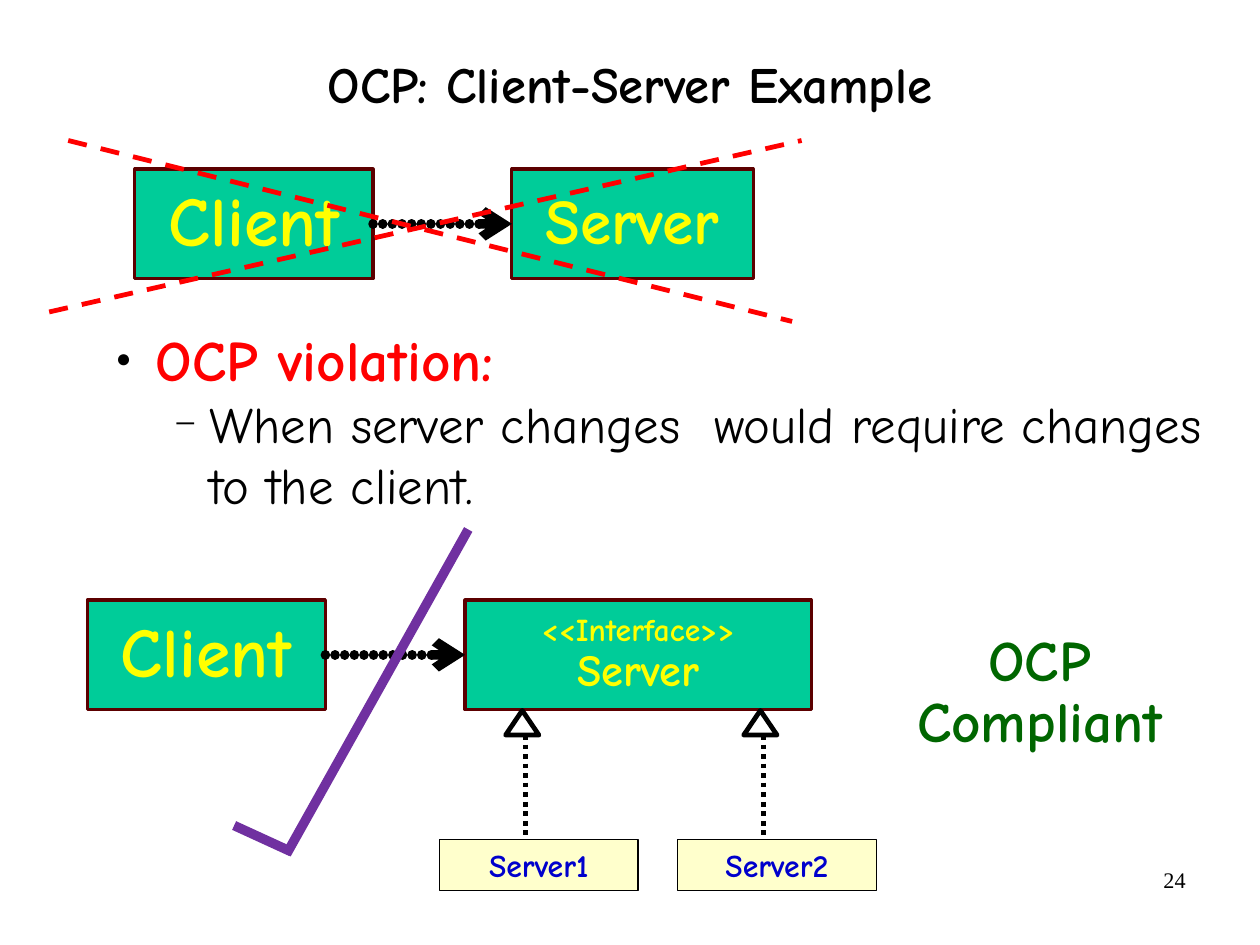
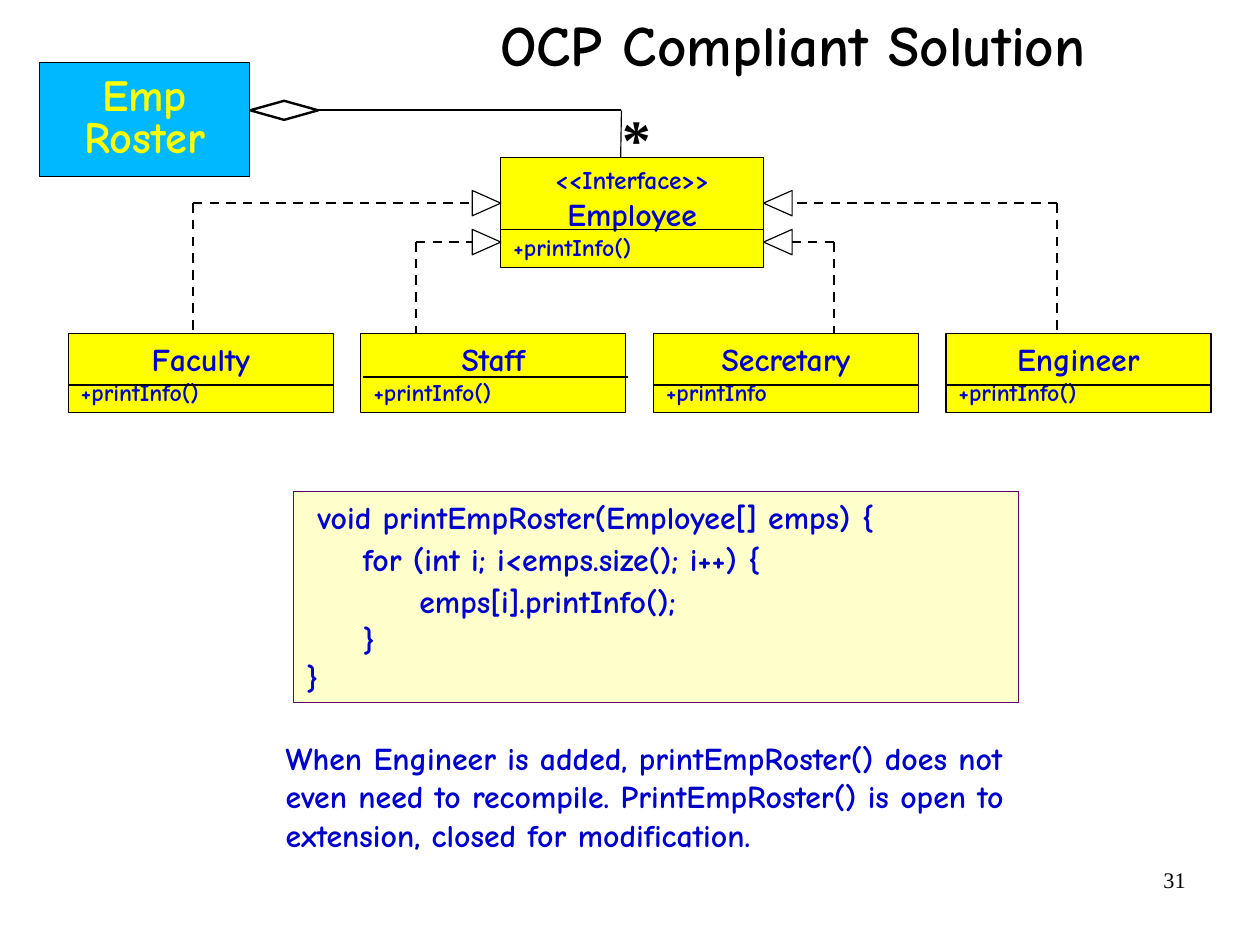
from dataclasses import dataclass

from lxml.etree import SubElement
from pptx import Presentation
from pptx.dml.color import RGBColor
from pptx.enum.dml import MSO_LINE
from pptx.enum.shapes import MSO_CONNECTOR, MSO_SHAPE
from pptx.enum.text import MSO_ANCHOR, PP_ALIGN
from pptx.oxml.ns import qn
from pptx.util import Pt


@dataclass(frozen=True)
class Theme:
    font: str = "Comic Neue"
    plain_font: str = "Times New Roman"
    black: str = "000000"
    red: str = "FF0000"
    green: str = "00CC99"
    maroon: str = "5C0000"
    yellow: str = "FFFF00"
    cream: str = "FFFFCC"
    blue: str = "0000CC"
    sky: str = "00B8FF"
    dark_green: str = "006600"
    purple: str = "660066"
    tick: str = "7030A0"
    huge: float = 44
    server: float = 40
    large: float = 36
    heading: float = 32
    name: float = 28
    normal: float = 20
    small: float = 16
    method: float = 15
    number: float = 14


THEME = Theme()
SLIDE_SIZE = (793.75, 595.25)
INSET = (8, 4)
RIGHT, LEFT = 3, 1

# Client and server slide
VIOLATION = "OCP violation:"
CONSEQUENCE = "When server changes  would require changes to the client."
PAIRS = [  # client box, server box, server lines with their sizes
    ((85, 106.5, 150, 69), (322.5, 106.5, 152, 69), [("Server", THEME.server)]),
    ((55, 378, 150, 69), (293, 378, 218, 69),
     [("<<Interface>>", THEME.normal), ("Server", THEME.name)]),
]
SERVERS = ["Server1", "Server2"]
CROSS = [((31, 196.5), (505, 88.5)), ((43, 88.5), (499, 202.5))]
TICK = [((147.5, 520), (183.5, 536.5)), ((180.5, 538), (295, 333.5))]

# Employee slide
INTERFACE_BOX = (315.5, 99.5, 165.5, 69)
INTERFACE_LINES = [("<<Interface>>", THEME.small), ("Employee", THEME.normal)]
OUTER, INNER = 128, 152.5
CLASSES = [  # name, method, divider shift right, divider top, link x, link y
    ("Faculty", "+printInfo()", 0, 242.5, 121.5, OUTER),
    ("Staff", "+printInfo()", 1.5, 237.5, 262, INNER),
    ("Secretary", "+printInfo", 0, 242.5, 525.5, INNER),
    ("Engineer", "+printInfo()", 0, 242.5, 666, OUTER),
]
CODE = [
    (" void printEmpRoster(Employee[] emps) {", 0),
    ("     for (int i; i<emps.size(); i++) {", 2.5),
    ("          emps[i].printInfo();", 2.5),
    ("     }", 0),
    ("}", 0),
]
NOTE = ("When Engineer is added, printEmpRoster() does not even need to recompile. "
        "PrintEmpRoster() is open to extension, closed for modification.")


def rgb(value):
    return RGBColor.from_string(value)


def write(shape, text, *, size=THEME.normal, colour=THEME.blue, font=THEME.font,
          bold=True, align=PP_ALIGN.LEFT, spacing=None, before=0, bullet=None):
    """Append one paragraph; bullet is (mark, percent, margin, hanging)."""
    frame = shape.text_frame
    para = frame.paragraphs[0]
    if para.runs:
        para = frame.add_paragraph()
    para.alignment = align
    if spacing:
        para.line_spacing = spacing
    if before:
        para.space_before = Pt(before)
    if bullet:
        mark, percent, margin, hanging = bullet
        props = para._p.get_or_add_pPr()
        props.set("marL", str(Pt(margin)))
        props.set("indent", str(-Pt(hanging)))
        tint = SubElement(props, qn("a:buClr"))
        SubElement(tint, qn("a:srgbClr"), val=THEME.black)
        SubElement(props, qn("a:buSzPct"), val=str(percent * 1000))
        SubElement(props, qn("a:buFont"), typeface=THEME.plain_font)
        SubElement(props, qn("a:buChar"), char=mark)
    span = para.add_run()
    span.text = text
    span.font.name = font
    span.font.size = Pt(size)
    span.font.bold = bold
    span.font.color.rgb = rgb(colour)


def set_frame(shape, inset, anchor, wrap=True):
    frame = shape.text_frame
    frame.word_wrap = wrap
    frame.vertical_anchor = anchor
    frame.margin_left = frame.margin_right = Pt(inset[0])
    frame.margin_top = frame.margin_bottom = Pt(inset[1])


def add_text(page, place, inset=(0, 0), anchor=MSO_ANCHOR.TOP):
    box = page.shapes.add_textbox(*map(Pt, place))
    set_frame(box, inset, anchor)
    return box


def style_shape(shape, fill, line, width):
    shape.shadow.inherit = False
    if fill:
        shape.fill.solid()
        shape.fill.fore_color.rgb = rgb(fill)
    else:
        shape.fill.background()
    shape.line.color.rgb = rgb(line)
    shape.line.width = Pt(width)


def add_box(page, place, fill, line=THEME.black, width=0.75,
            anchor=MSO_ANCHOR.TOP, wrap=True, kind=MSO_SHAPE.RECTANGLE):
    box = page.shapes.add_shape(kind, *map(Pt, place))
    style_shape(box, fill, line, width)
    set_frame(box, INSET, anchor, wrap)
    return box


def add_line(page, start, end, colour=THEME.black, width=0.75, dash=None):
    line = page.shapes.add_connector(MSO_CONNECTOR.STRAIGHT, *map(Pt, (*start, *end)))
    line.line.color.rgb = rgb(colour)
    line.line.width = Pt(width)
    if dash:
        line.line.dash_style = dash
    SubElement(line._element.spPr, qn("a:effectLst"))
    return line


def add_triangle(page, points, width):
    builder = page.shapes.build_freeform(*map(Pt, points[0]), scale=1.0)
    builder.add_line_segments([tuple(map(Pt, point)) for point in points[1:]], close=True)
    style_shape(builder.convert_to_shape(), None, THEME.black, width)


def add_dotted_arrow(page, client, server):
    arrow = add_line(page, (0, 0), (1, 1), width=6)
    arrow.begin_connect(client, RIGHT)
    arrow.end_connect(server, LEFT)
    outline = arrow.line._get_or_add_ln()
    outline.set("cap", "rnd")
    dots = SubElement(outline, qn("a:custDash"))
    SubElement(dots, qn("a:ds"), d="1000", sp="100000")
    SubElement(outline, qn("a:round"))
    SubElement(outline, qn("a:tailEnd"), type="arrow")


def add_page(deck, title, title_place, title_size, number):
    page = deck.slides.add_slide(deck.slide_layouts[6])
    box = add_text(page, title_place, anchor=MSO_ANCHOR.MIDDLE)
    write(box, title, size=title_size, colour=THEME.black,
          align=PP_ALIGN.CENTER, spacing=0.88)
    box = add_text(page, (569, 542, 185, 41), inset=(7, 3.5))
    write(box, number, size=THEME.number, colour=THEME.black,
          font=THEME.plain_font, bold=False, align=PP_ALIGN.RIGHT)
    return page


def build_client_server(deck):
    page = add_page(deck, "OCP: Client-Server Example", (58.5, 23.5, 677, 63),
                    THEME.heading, "24")
    body = add_text(page, (65, 204.5, 723.5, 130))
    write(body, VIOLATION, size=THEME.large, colour=THEME.red, bullet=("●", 45, 33, 25))
    write(body, CONSEQUENCE, size=THEME.heading, colour=THEME.black, bold=False,
          bullet=("−", 75, 67, 22))

    for client_place, server_place, server_lines in PAIRS:
        client, server = (
            add_box(page, place, THEME.green, THEME.maroon, 2, MSO_ANCHOR.MIDDLE)
            for place in (client_place, server_place))
        labels = [(client, "Client", THEME.huge)]
        labels += [(server, text, size) for text, size in server_lines]
        for box, text, size in labels:
            write(box, text, size=size, colour=THEME.yellow,
                  align=PP_ALIGN.CENTER, spacing=0.9)
        add_dotted_arrow(page, client, server)

    interface_bottom, base, server_top = 447.5, 463, 529
    for index, name in enumerate(SERVERS):
        left = 277 + 150 * index
        box = add_box(page, (left, server_top, 125, 32), THEME.cream)
        write(box, name, align=PP_ALIGN.CENTER)
        apex = left + 52
        add_triangle(page, [(apex, interface_bottom), (apex + 10.5, base),
                            (apex - 10.5, base)], 3)
        add_line(page, (left + 54, base), (left + 54, server_top), width=3,
                 dash=MSO_LINE.ROUND_DOT)

    verdict = add_text(page, (547, 405.5, 216, 63), anchor=MSO_ANCHOR.MIDDLE)
    for word in ("OCP", "Compliant"):
        write(verdict, word, size=THEME.large, colour=THEME.dark_green,
              align=PP_ALIGN.CENTER, spacing=0.88)
    for start, end in CROSS:
        add_line(page, start, end, THEME.red, 3, MSO_LINE.DASH)
    for start, end in TICK:
        add_line(page, start, end, THEME.tick, 6)


def add_class(page, place, headings, method, divider_top, shift=0):
    box = add_box(page, place, THEME.yellow)
    for text, size in headings:
        write(box, text, size=size, align=PP_ALIGN.CENTER)
    write(box, method, size=THEME.method)
    left = place[0] + shift
    add_line(page, (left, divider_top), (left + place[2], divider_top))


def build_solution(deck):
    page = add_page(deck, "OCP Compliant Solution", (229.5, 0, 540, 61),
                    THEME.large, "31")
    code = add_box(page, (185, 309.5, 456.5, 133), THEME.cream, THEME.purple)
    for text, before in CODE:
        write(code, text, before=before)

    add_class(page, INTERFACE_BOX, INTERFACE_LINES, "+printInfo()", 144.5)
    interface_left, _, interface_width, _ = INTERFACE_BOX
    class_top = 210
    for index, (name, method, shift, divider, link_x, link_y) in enumerate(CLASSES):
        place = (43 + 184.3 * index, class_top, 167, 50)
        add_class(page, place, [(name, THEME.normal)], method, divider, shift)
        if link_x < interface_left:
            apex, base = interface_left, interface_left - 18
        else:
            apex = interface_left + interface_width
            base = apex + 18
        add_triangle(page, [(apex, link_y), (base, link_y - 8), (base, link_y + 8)], 0.75)
        corner = (link_x, link_y)
        for end in ((base, link_y), (link_x, class_top)):
            add_line(page, corner, end, width=1.5, dash=MSO_LINE.DASH)

    note = add_text(page, (172, 461.5, 496, 80), inset=INSET)
    write(note, NOTE)

    roster = add_box(page, (25, 39.5, 132, 72), THEME.sky,
                     anchor=MSO_ANCHOR.MIDDLE, wrap=False)
    for word in ("Emp", "Roster"):
        write(roster, word, size=THEME.name, colour=THEME.yellow,
              align=PP_ALIGN.CENTER, spacing=0.8)
    diamond = add_box(page, (157.5, 63.5, 43, 12), None, width=1.5,
                      kind=MSO_SHAPE.DIAMOND)
    corner = (391.5, 69.5)
    link = add_line(page, (200.5, 69.5), corner, width=1.5)
    link.begin_connect(diamond, RIGHT)
    add_line(page, corner, (391, INTERFACE_BOX[1]))
    many = add_text(page, (385, 70, 30, 42), inset=(7, 3.5))
    write(many, "*", size=THEME.large, colour=THEME.black,
          font=THEME.plain_font, spacing=0.8)


def main():
    deck = Presentation()
    deck.slide_width, deck.slide_height = map(Pt, SLIDE_SIZE)
    build_client_server(deck)
    build_solution(deck)
    deck.save("out.pptx")


if __name__ == "__main__":
    main()
